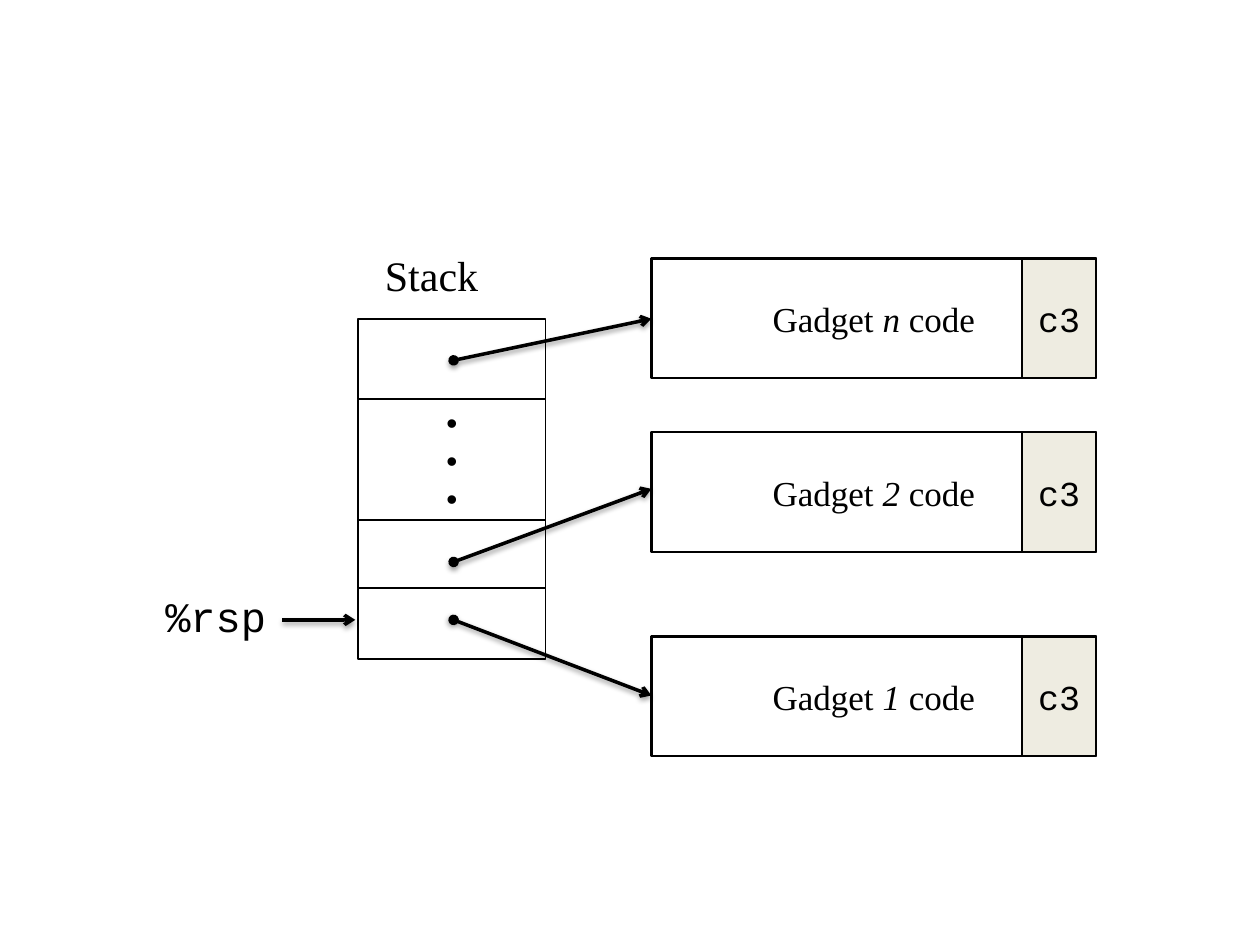
from dataclasses import dataclass
from typing import Any

from lxml.etree import SubElement
from pptx import Presentation
from pptx.dml.color import RGBColor
from pptx.enum.shapes import MSO_CONNECTOR, MSO_SHAPE
from pptx.enum.text import MSO_ANCHOR, PP_ALIGN
from pptx.oxml.ns import qn
from pptx.util import Inches, Pt


@dataclass(frozen=True)
class Theme:
    ink: RGBColor = RGBColor(0, 0, 0)
    shade: RGBColor = RGBColor(0xEE, 0xEC, 0xE1)
    serif: str = "Times New Roman"
    mono: str = "Courier New"
    sans: str = "Arial"
    label_size: int = 24
    code_size: int = 20
    dot_size: int = 18


@dataclass(frozen=True)
class Gadget:
    name: str
    top: float
    source_y: float
    target_y: float


THEME = Theme()
STACK_LEFT, STACK_WIDTH, STACK_TOP = 2.84, 1.49, 2.53
CELL_HEIGHTS = (0.64, 0.96, 0.54, 0.56)
DOTS_CELL = 1
POINTER_X = 3.6
GADGET_LEFT, GADGET_WIDTH, GADGET_HEIGHT = 5.17, 3.53, 0.95
RETURN_WIDTH = 0.59
GADGETS = (
    Gadget("n", 2.05, 2.86, 2.53),
    Gadget("2", 3.43, 4.46, 3.88),
    Gadget("1", 5.05, 4.92, 5.52),
)


def apply(target: Any, values: dict[str, Any]) -> None:
    for name, value in values.items():
        setattr(target, name, value)


def write(box: Any, lines: list[list[str]], font: str, size: int,
          align: PP_ALIGN = PP_ALIGN.CENTER, **frame_format: Any) -> None:
    frame = box.text_frame
    apply(frame, {"word_wrap": True, "vertical_anchor": MSO_ANCHOR.MIDDLE} | frame_format)
    for index, line in enumerate(lines):
        para = frame.add_paragraph() if index else frame.paragraphs[0]
        para.alignment = align
        for position, text in enumerate(line):
            span = para.add_run()
            span.text = text
            apply(span.font, {"name": font, "size": Pt(size), "italic": position == 1})
            span.font.color.rgb = THEME.ink


def add_box(page: Any, left: float, top: float, width: float, height: float,
            weight: float = 1, fill: RGBColor | None = None) -> Any:
    box = page.shapes.add_shape(MSO_SHAPE.RECTANGLE, Inches(left), Inches(top),
                                Inches(width), Inches(height))
    box.shadow.inherit = False
    if fill is None:
        box.fill.background()
    else:
        box.fill.solid()
        box.fill.fore_color.rgb = fill
    box.line.color.rgb = THEME.ink
    box.line.width = Pt(weight)
    return box


def add_label(page: Any, left: float, top: float, width: float, height: float) -> Any:
    return page.shapes.add_textbox(Inches(left), Inches(top), Inches(width), Inches(height))


def add_arrow(page: Any, start: tuple[float, float], end: tuple[float, float],
              dotted_start: bool = False) -> None:
    arrow = page.shapes.add_connector(MSO_CONNECTOR.STRAIGHT, *map(Inches, start + end))
    arrow.line.color.rgb = THEME.ink
    arrow.line.width = Pt(2)
    line = arrow.line._get_or_add_ln()
    if dotted_start:
        SubElement(line, qn("a:headEnd"), type="oval")
    SubElement(line, qn("a:tailEnd"), type="arrow")
    effects = SubElement(arrow._element.spPr, qn("a:effectLst"))
    shadow = SubElement(effects, qn("a:outerShdw"), blurRad=str(Pt(3.1)), dist=str(Pt(1.6)),
                        dir="5400000", rotWithShape="0")
    color = SubElement(shadow, qn("a:srgbClr"), val=str(THEME.ink))
    SubElement(color, qn("a:alpha"), val="38000")


def add_stack(page: Any) -> None:
    for index, height in enumerate(CELL_HEIGHTS):
        top = STACK_TOP + sum(CELL_HEIGHTS[:index])
        cell = add_box(page, STACK_LEFT, top, STACK_WIDTH, height)
        if index == DOTS_CELL:
            write(cell, [["•"]] * 3, THEME.sans, THEME.dot_size,
                  word_wrap=False, margin_top=0, margin_bottom=0)
    write(add_label(page, STACK_LEFT, 1.93, 1.17, 0.5), [["Stack"]],
          THEME.serif, THEME.label_size, vertical_anchor=MSO_ANCHOR.TOP)
    write(add_label(page, 1.04, 4.72, 1.17, 0.33), [["%rsp"]],
          THEME.mono, THEME.label_size, PP_ALIGN.RIGHT)
    add_arrow(page, (2.24, 4.92), (2.82, 4.92))


def add_gadget(page: Any, gadget: Gadget) -> None:
    return_left = GADGET_LEFT + GADGET_WIDTH - RETURN_WIDTH
    return_box = add_box(page, return_left, gadget.top, RETURN_WIDTH, GADGET_HEIGHT,
                         fill=THEME.shade)
    write(return_box, [["c3"]], THEME.mono, THEME.code_size, margin_left=0, margin_right=0)
    code_box = add_box(page, GADGET_LEFT, gadget.top, GADGET_WIDTH, GADGET_HEIGHT, 1.5)
    write(code_box, [["Gadget ", gadget.name, " code"]], THEME.serif, THEME.code_size)
    add_arrow(page, (POINTER_X, gadget.source_y), (GADGET_LEFT, gadget.target_y), True)


def main() -> None:
    deck = Presentation()
    apply(deck, {"slide_width": Inches(10), "slide_height": Inches(7.5)})
    page = deck.slides.add_slide(deck.slide_layouts[6])
    add_stack(page)
    for gadget in GADGETS:
        add_gadget(page, gadget)
    deck.save("out.pptx")


main()
